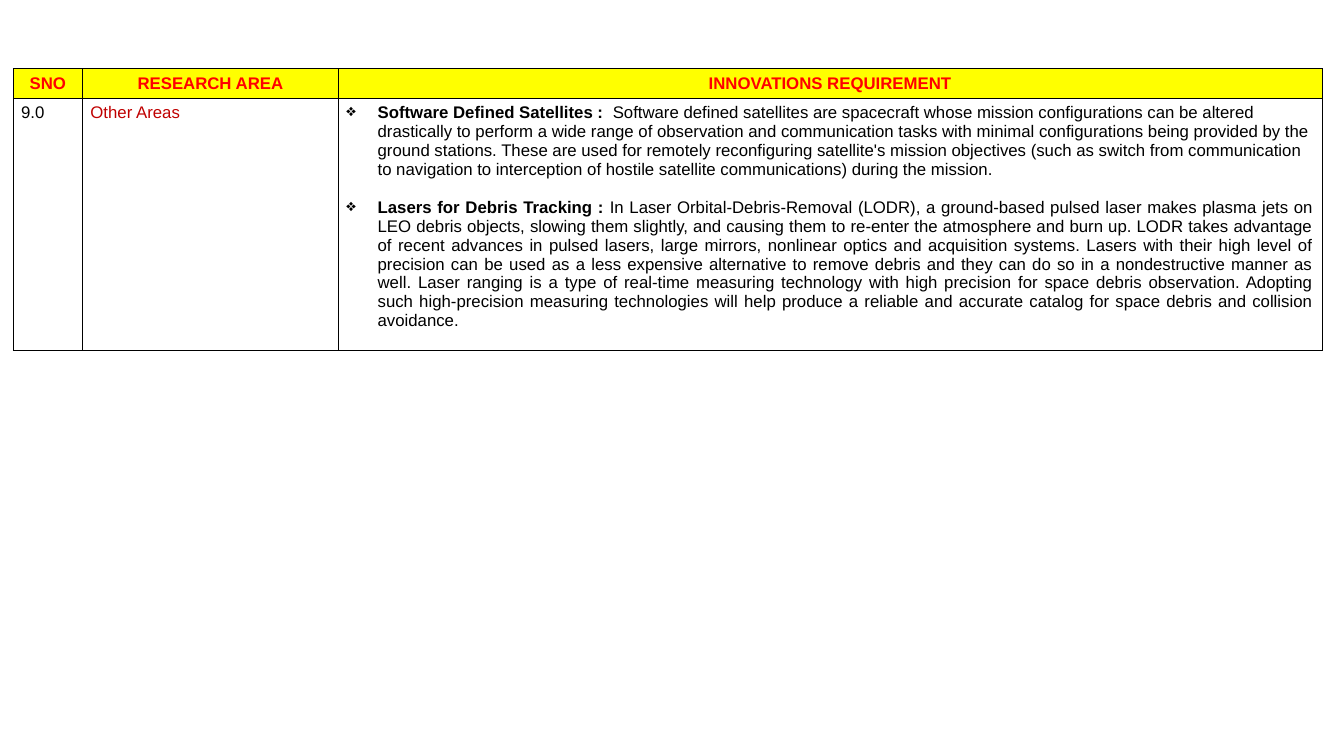
from lxml.etree import SubElement
from pptx import Presentation
from pptx.dml.color import RGBColor
from pptx.enum.text import PP_ALIGN
from pptx.oxml.ns import qn
from pptx.util import Cm, Pt

HEADINGS = ["SNO", "RESEARCH AREA", "INNOVATIONS REQUIREMENT"]
COLUMN_WIDTHS = [1.75, 6.45, 24.79]
ROW_HEIGHTS = [0.75, 6.35]
INNOVATIONS = [
    (
        "Software Defined Satellites : ",
        " Software defined satellites are spacecraft whose mission configurations can be altered "
        "drastically to perform a wide range of observation and communication tasks with minimal "
        "configurations being provided by the ground stations. These are used for remotely "
        "reconfiguring satellite's mission objectives (such as switch from communication to "
        "navigation to interception of hostile satellite communications) during the mission.",
        PP_ALIGN.LEFT,
    ),
    (
        "Lasers for Debris Tracking : ",
        "In Laser Orbital-Debris-Removal (LODR), a ground-based pulsed laser makes plasma jets on "
        "LEO debris objects, slowing them slightly, and causing them to re-enter the atmosphere and "
        "burn up. LODR takes advantage of recent advances in pulsed lasers, large mirrors, nonlinear "
        "optics and acquisition systems. Lasers with their high level of precision can be used as a "
        "less expensive alternative to remove debris and they can do so in a nondestructive manner "
        "as well. Laser ranging is a type of real-time measuring technology with high precision for "
        "space debris observation. Adopting such high-precision measuring technologies will help "
        "produce a reliable and accurate catalog for space debris and collision avoidance.",
        PP_ALIGN.JUSTIFY,
    ),
]


def color(value):
    return RGBColor.from_string(value)


class ResearchSlide:
    font_name = "Arial"
    font_size = Pt(12)
    black = "000000"
    border_width = Pt(0.45)
    bullet_indent = Cm(0.79)
    paragraph_gap = Pt(14)

    def __init__(self, presentation):
        self.slide = presentation.slides.add_slide(presentation.slide_layouts[6])

    def add_table(self, left, top, widths, heights):
        frame = self.slide.shapes.add_table(
            len(heights), len(widths), Cm(left), Cm(top), Cm(sum(widths)), Cm(sum(heights))
        )
        table = frame.table
        table.first_row = False
        table.horz_banding = False
        for column, width in zip(table.columns, widths):
            column.width = Cm(width)
        for row, height in zip(table.rows, heights):
            row.height = Cm(height)
        for cell in table.iter_cells():
            self.style_cell(cell)
        return table

    def style_cell(self, cell):
        cell.margin_left = cell.margin_right = Cm(0.2)
        cell.margin_top = cell.margin_bottom = Cm(0.13)
        properties = cell._tc.get_or_add_tcPr()
        for side in ("lnL", "lnR", "lnT", "lnB"):
            line = SubElement(properties, qn(f"a:{side}"), w=str(self.border_width))
            fill = SubElement(line, qn("a:solidFill"))
            SubElement(fill, qn("a:srgbClr"), val=self.black)
        cell.fill.background()

    def format_run(self, run, hex_color, bold):
        run.font.name = self.font_name
        run.font.size = self.font_size
        run.font.bold = bold
        run.font.color.rgb = color(hex_color)

    def write_cell(self, cell, text, hex_color, bold=False, alignment=PP_ALIGN.LEFT):
        cell.text_frame.text = text
        paragraph = cell.text_frame.paragraphs[0]
        paragraph.alignment = alignment
        self.format_run(paragraph.runs[0], hex_color, bold)

    def add_bullet(self, paragraph):
        properties = paragraph._p.get_or_add_pPr()
        properties.set("marL", str(self.bullet_indent))
        properties.set("indent", str(-self.bullet_indent))
        bullet_color = SubElement(properties, qn("a:buClr"))
        SubElement(bullet_color, qn("a:srgbClr"), val=self.black)
        SubElement(properties, qn("a:buChar"), char="❖")

    def write_list(self, cell, items):
        text_frame = cell.text_frame
        for index, (heading, description, alignment) in enumerate(items):
            paragraph = text_frame.add_paragraph() if index else text_frame.paragraphs[0]
            self.add_bullet(paragraph)
            paragraph.alignment = alignment
            if index:
                paragraph.space_before = self.paragraph_gap
            for text, bold in ((heading, True), (description, False)):
                run = paragraph.add_run()
                run.text = text
                self.format_run(run, self.black, bold)


def main():
    presentation = Presentation()
    presentation.slide_width = Cm(33.88)
    presentation.slide_height = Cm(19.05)
    research = ResearchSlide(presentation)
    table = research.add_table(0.33, 1.73, COLUMN_WIDTHS, ROW_HEIGHTS)
    for index, heading in enumerate(HEADINGS):
        cell = table.cell(0, index)
        research.write_cell(cell, heading, "FF0000", True, PP_ALIGN.CENTER)
        cell.fill.solid()
        cell.fill.fore_color.rgb = color("FFFF00")
    research.write_cell(table.cell(1, 0), "9.0", research.black)
    research.write_cell(table.cell(1, 1), "Other Areas", "C00000")
    research.write_list(table.cell(1, 2), INNOVATIONS)
    presentation.save("out.pptx")


if __name__ == "__main__":
    main()
